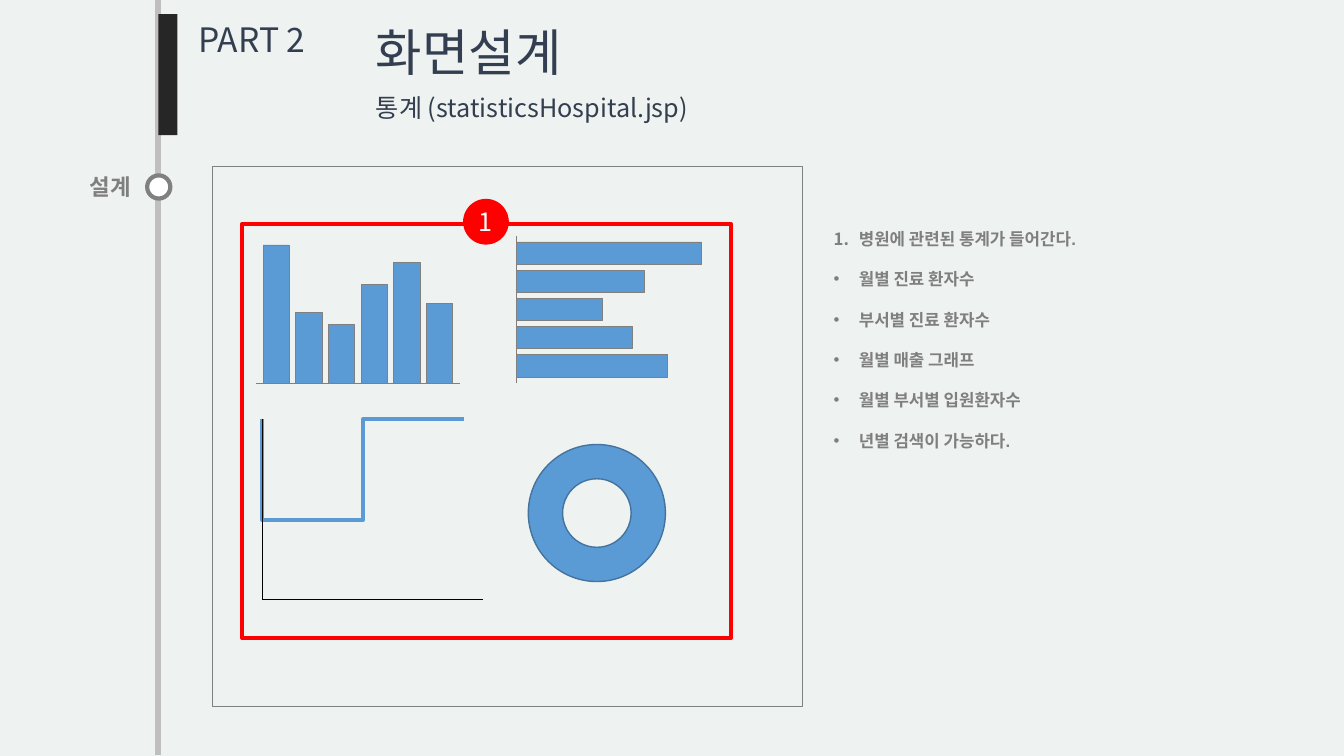
from lxml import etree
from pptx import Presentation
from pptx import util as u
from pptx.dml.color import RGBColor
from pptx.enum import shapes, text
from pptx.oxml.ns import qn

KOREAN = "Noto Sans CJK KR"
NAVY, GRAY, MID_GRAY, BLUE, RED = "333F50", "7F7F7F", "808080", "5B9BD5", "FF0000"
SHAPE = shapes.MSO_SHAPE
ALIGN = text.PP_ALIGN


def color(value):
    return RGBColor.from_string(value)


def style_outline(line, value, width):
    if value:
        line.color.rgb = color(value)
        line.width = u.Pt(width)
    else:
        line.fill.background()


def add_shape(page, kind, left, top, width, height, fill=None, outline=None, weight=0.5):
    shape = page.shapes.add_shape(kind, *map(u.Inches, (left, top, width, height)))
    shape.shadow.inherit = False
    if fill:
        shape.fill.solid()
        shape.fill.fore_color.rgb = color(fill)
    else:
        shape.fill.background()
    style_outline(shape.line, outline, weight)
    return shape


def add_line(page, x1, y1, x2, y2, value, weight=0.5):
    line = page.shapes.add_connector(
        shapes.MSO_CONNECTOR.STRAIGHT, *map(u.Inches, (x1, y1, x2, y2)))
    style_outline(line.line, value, weight)
    etree.SubElement(line._element.spPr, qn("a:effectLst"))


def style_para(para, size, value, font=KOREAN, bold=False, align=ALIGN.LEFT):
    para.alignment = align
    para.font.size = u.Pt(size)
    para.font.bold = bold
    para.font.name = font
    para.font.color.rgb = color(value)


def add_text(page, words, left, top, width, height, size, value, wrap=False, **style):
    box = page.shapes.add_textbox(*map(u.Inches, (left, top, width, height)))
    box.text_frame.word_wrap = wrap
    para = box.text_frame.paragraphs[0]
    para.text = words
    style_para(para, size, value, **style)


def add_timeline(page, x):
    add_line(page, x, 0, x, 7.49, "BFBFBF", 4.5)
    add_text(page, "설계", x - 0.8, 1.67, 0.65, 0.37, 16, GRAY, bold=True, align=ALIGN.CENTER)
    add_shape(page, SHAPE.RECTANGLE, x, 0.14, 0.19, 1.2, "262626")
    add_shape(page, SHAPE.OVAL, x - 0.11, 1.74, 0.23, 0.23, "FFFFFF", MID_GRAY, 3)


def add_heading(page, left, top):
    add_text(page, "PART 2", left, top, 1.27, 0.5, 24, NAVY)
    add_text(page, "화면설계", left + 1.76, top + 0.02, 2.22, 0.71, 36, NAVY)
    add_text(page, "통계 (statisticsHospital.jsp)", left + 1.76, top + 0.73, 4.31, 0.4,
             18, NAVY, wrap=True)


def add_notes_list(page, left, top, width, height):
    box = page.shapes.add_textbox(*map(u.Inches, (left, top, width, height)))
    frame = box.text_frame
    frame.word_wrap = True
    items = ["병원에 관련된 통계가 들어간다.", "월별 진료 환자수", "부서별 진료 환자수",
             "월별 매출 그래프", "월별 부서별 입원환자수", "년별 검색이 가능하다."]
    for index, item in enumerate(items):
        para = frame.add_paragraph() if index else frame.paragraphs[0]
        para.text = item
        para.line_spacing = u.Pt(14.4)
        if index:
            para.space_before = u.Pt(14.4)
        props = para._p.get_or_add_pPr()
        props.set("marL", str(u.Inches(0.25)))
        props.set("indent", str(-u.Inches(0.25)))
        if index:
            etree.SubElement(props, qn("a:buFont"), typeface="Arial")
            etree.SubElement(props, qn("a:buChar"), char="•")
        else:
            etree.SubElement(props, qn("a:buAutoNum"), type="arabicPeriod")
        style_para(para, 12, GRAY, font="Arial", bold=True)


def add_column_sketch(page, left, base):
    add_line(page, left, base, left + 2.02, base, MID_GRAY)
    for index, height in enumerate([1.37, 0.7, 0.58, 0.98, 1.2, 0.79]):
        add_shape(page, SHAPE.RECTANGLE, left + 0.07 + index * 0.324, base - height,
                  0.26, height, BLUE, MID_GRAY)


def add_bar_sketch(page, left, top):
    for index, width in enumerate([1.84, 1.27, 0.86, 1.15, 1.5]):
        add_shape(page, SHAPE.RECTANGLE, left, top + 0.06 + index * 0.28,
                  width, 0.22, BLUE, MID_GRAY)
    add_line(page, left, top, left, top + 1.46, MID_GRAY)


def curve_points(start, segments, steps=16):
    for first, second, end in segments:
        for step in range(1, steps + 1):
            t = step / steps
            weights = ((1 - t) ** 3, 3 * t * (1 - t) ** 2, 3 * t * t * (1 - t), t ** 3)
            knots = (start, first, second, end)
            yield tuple(sum(w * knot[axis] for w, knot in zip(weights, knots))
                        for axis in (0, 1))
        start = end


def add_curve_sketch(page, left, top):
    start = (0.03, 0.41)
    segments = [
        ((0.17, 0.72), (0.3, 1.02), (0.42, 1.09)),
        ((0.55, 1.16), (0.64, 0.78), (0.75, 0.83)),
        ((0.87, 0.89), (0.99, 1.46), (1.09, 1.43)),
        ((1.2, 1.39), (1.26, 0.8), (1.36, 0.62)),
        ((1.46, 0.44), (1.67, 0.34), (1.67, 0.34)),
    ]
    builder = page.shapes.build_freeform(*start, scale=u.Inches(1))
    builder.add_line_segments(curve_points(start, segments), close=False)
    curve = builder.convert_to_shape(u.Inches(left), u.Inches(top))
    curve.shadow.inherit = False
    curve.fill.background()
    style_outline(curve.line, BLUE, 2.75)
    add_line(page, left, top, left, top + 1.79, "000000")
    add_line(page, left + 2.19, top + 1.79, left, top + 1.79, "000000")


def add_screen(page, left, top):
    add_shape(page, SHAPE.RECTANGLE, left, top, 5.85, 5.36, outline=MID_GRAY)
    add_shape(page, SHAPE.RECTANGLE, left + 0.29, top + 0.57, 4.85, 4.11,
              outline=RED, weight=2.75)
    badge = add_shape(page, SHAPE.OVAL, left + 2.49, top + 0.33, 0.44, 0.44, RED, RED, 1)
    frame = badge.text_frame
    frame.vertical_anchor = text.MSO_ANCHOR.MIDDLE
    frame.word_wrap = False
    frame.text = "1"
    style_para(frame.paragraphs[0], 18, "FFFFFF", align=ALIGN.CENTER)
    add_column_sketch(page, left + 0.43, top + 2.15)
    add_bar_sketch(page, left + 3.01, top + 0.69)
    add_curve_sketch(page, left + 0.49, top + 2.51)
    add_shape(page, SHAPE.DONUT, left + 3.13, top + 2.76, 1.36, 1.36, BLUE, "43739E", 1)


def main():
    deck = Presentation()
    deck.slide_width, deck.slide_height = u.Inches(13.33), u.Inches(7.5)
    page = deck.slides.add_slide(deck.slide_layouts[6])
    page.background.fill.solid()
    page.background.fill.fore_color.rgb = color("EEF2F0")
    add_timeline(page, 1.57)
    add_heading(page, 1.87, 0.14)
    add_notes_list(page, 8.17, 2.22, 4.4, 2.32)
    add_screen(page, 2.11, 1.65)
    deck.save("out.pptx")


if __name__ == "__main__":
    main()
